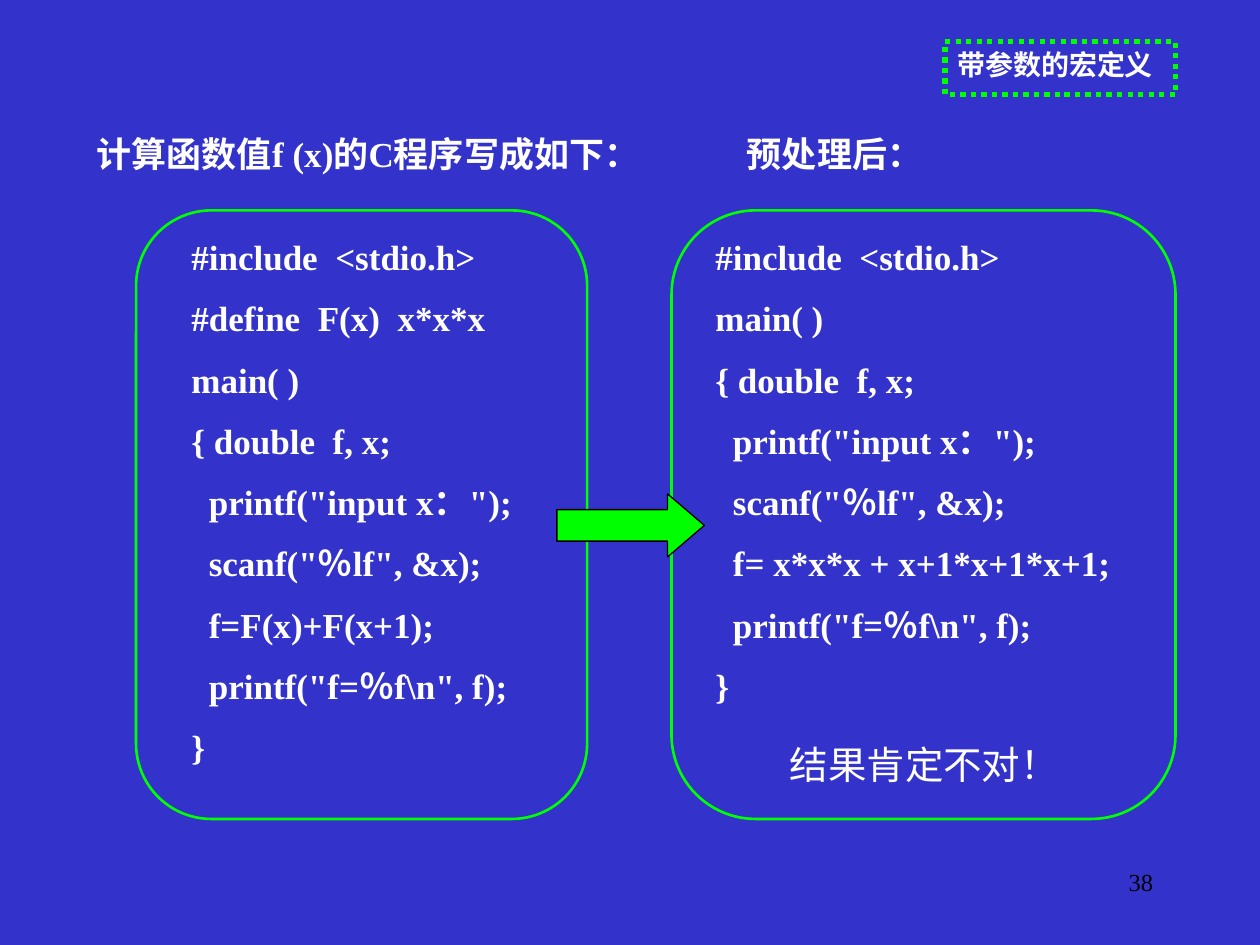
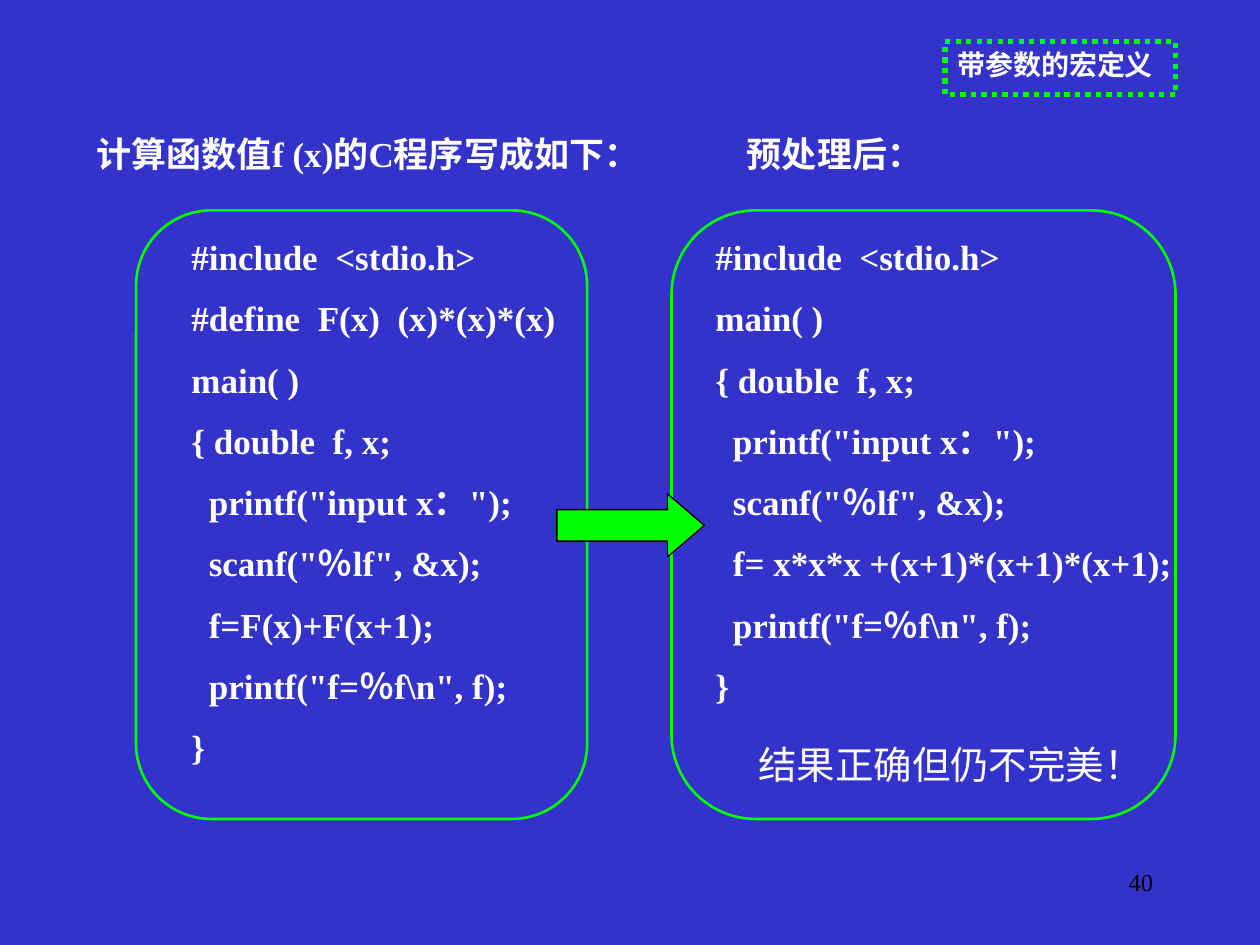
from pptx import Presentation
from pptx.dml.color import RGBColor
from pptx.enum.dml import MSO_LINE
from pptx.enum.shapes import MSO_SHAPE
from pptx.enum.text import MSO_ANCHOR, MSO_AUTO_SIZE, PP_ALIGN
from pptx.util import Inches, Pt

TOPIC = "带参数的宏定义"
SOURCE_HEADING = "计算函数值f (x)的C程序写成如下："
EXPANDED_HEADING = "预处理后："

INCLUDE = "#include  <stdio.h>"
OPENING = [
    "main( )",
    "{ double  f, x;",
    '  printf("input x：");',
    '  scanf("％lf", &x);',
]
CLOSING = ['  printf("f=％f\\n", f);', "}"]

EXAMPLES = [
    {
        "macro": "#define  F(x)  x*x*x",
        "expansion": "  f= x*x*x + x+1*x+1*x+1;",
        "verdict": "结果肯定不对！",
        "verdict_box": (6.17, 5.83, 2.83, 0.47),
        "number": "38",
    },
    {
        "macro": "#define  F(x)  (x)*(x)*(x)",
        "expansion": "  f= x*x*x +(x+1)*(x+1)*(x+1);",
        "verdict": "结果正确但仍不完美！",
        "verdict_box": (5.92, 5.83, 3.08, 0.47),
        "number": "40",
    },
]

BLUE = RGBColor(0x33, 0x33, 0xCC)
GREEN = RGBColor(0x00, 0xFF, 0x00)
WHITE = RGBColor(0xFF, 0xFF, 0xFF)
BLACK = RGBColor(0x00, 0x00, 0x00)
FONT = "Times New Roman"
TITLE_ONLY = 5
RECTANGLE = MSO_SHAPE.RECTANGLE
ROUNDED = MSO_SHAPE.ROUNDED_RECTANGLE
RIGHT_ARROW = MSO_SHAPE.RIGHT_ARROW
ROUND_DOT = MSO_LINE.ROUND_DOT
TOP, NO_FIT = MSO_ANCHOR.TOP, MSO_AUTO_SIZE.NONE
LEFT, RIGHT = PP_ALIGN.LEFT, PP_ALIGN.RIGHT

TITLE_BOX = (7.5, 0.33, 1.83, 0.37)
TITLE_FRAME = (7.5, 0.33, 1.83, 0.42)
SOURCE_PANEL = (1.08, 1.67, 3.58, 4.83)
EXPANDED_PANEL = (5.33, 1.67, 4, 4.83)
ARROW_BOX = (4.42, 3.92, 1.17, 0.5)


def inches(box):
    return [Inches(length) for length in box]


def style_text(frame, lines, size, bold=True, color=WHITE, align=LEFT):
    frame.word_wrap = True
    frame.auto_size = NO_FIT
    frame.vertical_anchor = TOP
    frame.text = "\n".join(lines)
    for index, paragraph in enumerate(frame.paragraphs):
        paragraph.alignment = align
        paragraph.space_before = Pt(11 if index else 0)
        font = paragraph.font
        font.name, font.size, font.bold = FONT, Pt(size), bold
        font.color.rgb = color


def add_text(slide, box, lines, size=20, **style):
    style_text(slide.shapes.add_textbox(*inches(box)).text_frame,
               lines, size, **style)


def add_outline(slide, kind, box, width, color=GREEN, adjustments=()):
    """Add an unfilled, shadowless shape and return it."""
    shape = slide.shapes.add_shape(kind, *inches(box))
    shape.shadow.inherit = False
    shape.fill.background()
    shape.line.color.rgb = color
    shape.line.width = Pt(width)
    for index, value in enumerate(adjustments):
        shape.adjustments[index] = value
    return shape


def add_title(slide):
    title = slide.shapes.title
    title.left, title.top, title.width, title.height = inches(TITLE_BOX)
    style_text(title.text_frame, [TOPIC], 16)
    frame = add_outline(slide, RECTANGLE, TITLE_FRAME, 3)
    frame.line.dash_style = ROUND_DOT


def add_example(prs, example):
    slide = prs.slides.add_slide(prs.slide_layouts[TITLE_ONLY])
    add_title(slide)

    source = [INCLUDE, example["macro"], *OPENING, "  f=F(x)+F(x+1);", *CLOSING]
    expanded = [INCLUDE, *OPENING, example["expansion"], *CLOSING]
    add_text(slide, (0.67, 1, 4.33, 0.43), [SOURCE_HEADING])
    add_text(slide, (1.42, 1.82, 3.42, 4.43), source)
    add_text(slide, (5.83, 1, 3.42, 0.43), [EXPANDED_HEADING])
    add_text(slide, (5.58, 1.82, 4, 3.93), expanded)

    for panel in (SOURCE_PANEL, EXPANDED_PANEL):
        add_outline(slide, ROUNDED, panel, 1.5, adjustments=[0.167])
    arrow = add_outline(slide, RIGHT_ARROW, ARROW_BOX, 0.75, BLACK, [0.5, 0.583])
    arrow.fill.solid()
    arrow.fill.fore_color.rgb = GREEN

    add_text(slide, example["verdict_box"], [example["verdict"]], 22, bold=False)
    add_text(slide, (7.17, 6.83, 2.08, 0.5), [example["number"]], 14,
             bold=False, color=BLACK, align=RIGHT)


def main():
    prs = Presentation()
    prs.slide_width, prs.slide_height = Inches(10), Inches(7.5)
    background = prs.slide_master.background.fill
    background.solid()
    background.fore_color.rgb = BLUE
    for example in EXAMPLES:
        add_example(prs, example)
    prs.save("out.pptx")


if __name__ == "__main__":
    main()
